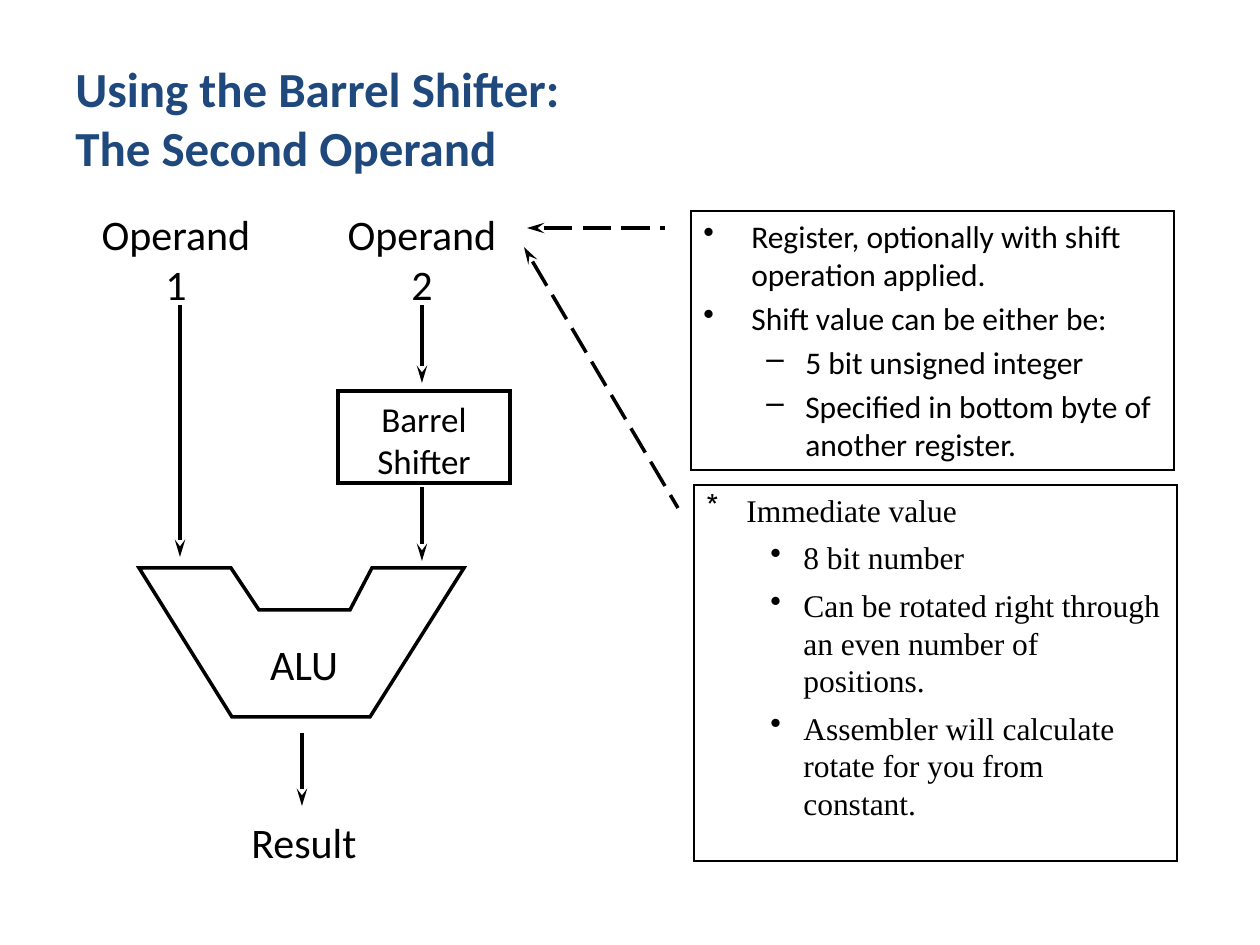
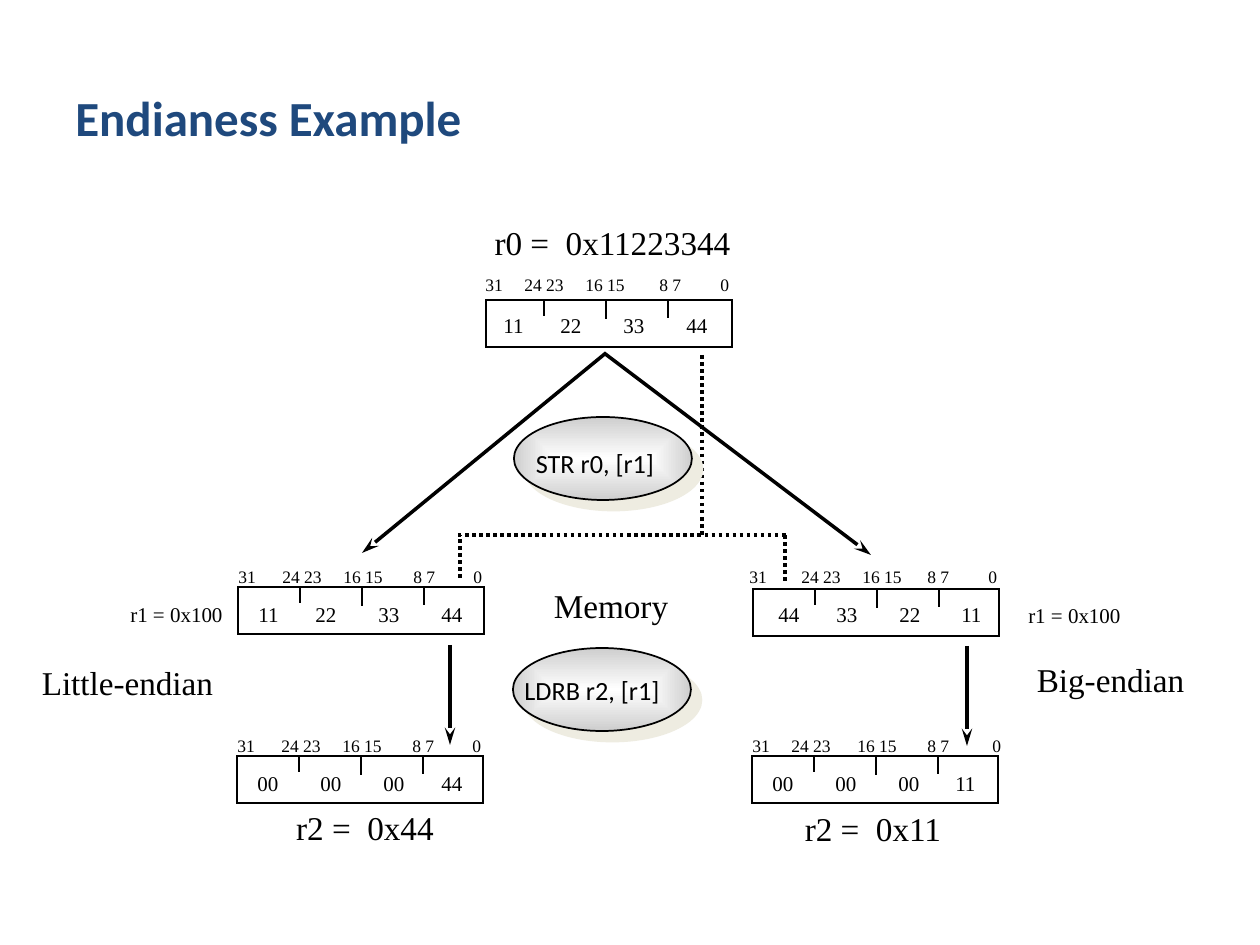
from lxml.etree import SubElement
from pptx import Presentation
from pptx.dml.color import RGBColor
from pptx.enum.dml import MSO_LINE as DASH
from pptx.enum.shapes import MSO_CONNECTOR as CONNECTOR, MSO_SHAPE as SHAPE
from pptx.enum.text import MSO_ANCHOR as ANCHOR, PP_ALIGN as ALIGN
from pptx.oxml.ns import qn
from pptx.util import Pt

PIXEL = 914400 // 126
COLORS = {"title": "1F497D", "ink": "000000", "light": "FFFFFF",
          "grey": "CECECE", "shadow": "EEECE1"}
SANS, SERIF = "Calibri", "Times New Roman"
TIGHT = (9, 4)      # horizontal and vertical text insets
TIGHTER = (8, 3)
INSET = 13


def px(value):
    return round(value * PIXEL)


def color(name):
    return RGBColor.from_string(COLORS[name])


# Text

def write(frame, text, size=18, font=SANS, ink="ink", bold=False, align=ALIGN.LEFT,
          before=0, spacing=None, bullet=None, indent=(0, 0), tabs=()):
    """Add one paragraph; the first one fills the empty paragraph of the frame."""
    para = frame.paragraphs[0]
    if para.runs:
        para = frame.add_paragraph()
    para.alignment = align
    para.space_before = Pt(before)
    if spacing:
        para.line_spacing = spacing
    for number, line in enumerate(text.split("\n")):
        if number:
            para.add_line_break()
        span = para.add_run()
        span.text = line
        span.font.size, span.font.name, span.font.bold = Pt(size), font, bold
        span.font.color.rgb = color(ink)
    props = para._p.get_or_add_pPr()
    if bullet:
        left, hanging = indent
        props.set("marL", str(px(left)))
        props.set("indent", str(-px(hanging)))
        SubElement(props, qn("a:buChar"), char=bullet)
    if tabs:
        stops = SubElement(props, qn("a:tabLst"))
        for stop in tabs:
            SubElement(stops, qn("a:tab"), pos=str(px(stop)), algn="l")


def label(page, text, left, top, width, height, inset=None, wrap=True,
          anchor=ANCHOR.TOP, **style):
    box = page.shapes.add_textbox(*map(px, (left, top, width, height)))
    frame = box.text_frame
    frame.word_wrap, frame.vertical_anchor = wrap, anchor
    if inset:
        frame.margin_left = frame.margin_right = px(inset[0])
        frame.margin_top = frame.margin_bottom = px(inset[1])
    write(frame, text, **style)


def caption(page, text, left, top, width, wrap=False):
    label(page, text, left, top, width, 43, inset=TIGHT, wrap=wrap, size=19,
          font=SERIF, align=ALIGN.CENTER, spacing=0.88)


def title(page, text):
    label(page, text, 63, 38, 1134, 158, anchor=ANCHOR.MIDDLE,
          size=28, bold=True, ink="title")


# Shapes and lines

def outline(shape, weight):
    shape.shadow.inherit = False
    shape.fill.background()
    shape.line.color.rgb = color("ink")
    shape.line.width = Pt(weight)
    SubElement(shape.line._get_or_add_ln(), qn("a:miter"), lim="800000")


def frame_box(page, left, top, width, height, weight=1, kind=SHAPE.RECTANGLE):
    box = page.shapes.add_shape(kind, *map(px, (left, top, width, height)))
    outline(box, weight)
    box.text_frame.word_wrap = True
    box.text_frame.vertical_anchor = ANCHOR.TOP
    return box


def stroke(page, start, end, weight=2, dash=None, arrow=None):
    """A straight line; arrow is "head" at its start or "tail" at its end."""
    line = page.shapes.add_connector(CONNECTOR.STRAIGHT, *map(px, (*start, *end)))
    line.line.color.rgb = color("ink")
    line.line.width = Pt(weight)
    if dash:
        line.line.dash_style = dash
    if arrow:
        SubElement(line.line._get_or_add_ln(), qn(f"a:{arrow}End"),
                   type="stealth", w="med", len="lg")
    SubElement(line._element.spPr, qn("a:effectLst"))


def polygon(page, points, weight=2):
    builder = page.shapes.build_freeform(*points[0], scale=PIXEL)
    builder.add_line_segments(points[1:], close=True)
    outline(builder.convert_to_shape(), weight)


def instruction(page, text, left, top, text_left, text_top):
    """A shaded ellipse with an offset shadow and its assembly instruction."""
    oval = frame_box(page, left, top, 178, 83, kind=SHAPE.OVAL)
    oval.fill.gradient()
    for stop, name in zip(oval.fill.gradient_stops, ("light", "grey")):
        stop.color.rgb = color(name)
    props = oval._element.spPr
    gradient = props.find(qn("a:gradFill"))
    gradient.remove(gradient.find(qn("a:lin")))
    shading = SubElement(gradient, qn("a:path"), {"path": "shape"})
    SubElement(shading, qn("a:fillToRect"), dict.fromkeys("ltrb", "50000"))
    shadow = SubElement(props.find(qn("a:effectLst")), qn("a:outerShdw"),
                        dist=str(Pt(8.5)), dir=str(45 * 60000), algn="ctr")
    SubElement(shadow, qn("a:srgbClr"), val=COLORS["shadow"])
    label(page, text, text_left, text_top, 170, 38, inset=TIGHTER,
          wrap=False, size=15, align=ALIGN.CENTER)


def tabbed(page, items, left, top, width, height, offsets, size):
    """One line of text whose items start at the given offsets from left."""
    first = offsets[0]
    label(page, "\t".join(items), left + first - INSET, top, width, height,
          size=size, font=SERIF, tabs=[offset - first for offset in offsets[1:]])


def register(page, left, top, values, bits, digits, bits_rise=27, digits_drop=8,
             first_tick=62):
    """A 32-bit word: four bytes in a box, with bit numbers above it."""
    frame_box(page, left, top, 246, 47)
    for number, length in enumerate((16, 19, 18)):
        x = left + first_tick + 62 * number
        stroke(page, (x, top), (x, top + length), weight=1)
    tabbed(page, ("31", "24 23", "16 15", "8 7", "0"), left, top - bits_rise,
           277, 34, bits, 10)
    tabbed(page, values.split(), left, top + digits_drop, 239, 39, digits, 12)


# Slides

def barrel_shifter(page):
    title(page, "Using the Barrel Shifter:\nThe Second Operand")

    # Notes on the second operand
    notes = frame_box(page, 694, 485, 483, 376).text_frame
    write(notes, "Immediate value", font=SERIF, bullet="*", indent=(40, 40))
    for text in ("8 bit number",
                 "Can be rotated right through an even number of positions.",
                 "Assembler will calculate rotate for you from constant."):
        write(notes, text, font=SERIF, bullet="•", indent=(97, 33), before=5.4)
    notes = frame_box(page, 691, 211, 483, 259).text_frame
    for text, bullet, indent in (
            ("Register, optionally with shift operation applied.", "•", (48, 48)),
            ("Shift value can be either be:", "•", (48, 48)),
            ("5 bit unsigned integer", "–", (102, 39)),
            ("Specified in bottom byte of another register.", "–", (102, 39))):
        write(notes, text, bullet=bullet, indent=indent, before=3.6)

    # Data path
    for text, left, top, width, height in (
            ("Operand 1", 76, 202, 200, 115), ("Operand 2", 322, 202, 200, 115),
            ("ALU", 244, 632, 120, 64), ("Result", 204, 810, 200, 64)):
        label(page, text, left, top, width, height, size=24, align=ALIGN.CENTER)
    polygon(page, [(139, 568), (231, 568), (259, 610), (350, 610),
                   (372, 568), (464, 568), (370, 717), (232, 717)])
    shifter = frame_box(page, 338, 391, 172, 92, weight=2)
    write(shifter.text_frame, "Barrel Shifter", size=20, align=ALIGN.CENTER)
    for x, start, end in ((180, 305, 557), (422, 305, 383),
                          (422, 487, 561), (302, 733, 806)):
        stroke(page, (x, start), (x, end), arrow="tail")
    stroke(page, (527, 228), (665, 228), dash=DASH.LONG_DASH, arrow="head")
    stroke(page, (524, 247), (678, 508), dash=DASH.LONG_DASH, arrow="head")


def endianess(page):
    title(page, "Endianess Example")

    # Captions
    caption(page, "Big-endian", 1014, 660, 193, wrap=True)
    caption(page, "Little-endian", 25, 663, 205, wrap=True)
    caption(page, "r0 =  0x11223344", 484, 223, 257)
    caption(page, "Memory", 544, 586, 134)
    caption(page, "r2 =  0x44", 286, 808, 158)
    caption(page, "r2 =  0x11", 795, 809, 156)
    for left, top in ((113, 597), (1011, 599)):
        label(page, "r1 = 0x100", left, top, 127, 33, inset=TIGHT, size=12,
              font=SERIF, align=ALIGN.CENTER)

    # Path of the lowest byte
    for start, end in (((702, 355), (702, 535)), ((458, 535), (786, 535)),
                       ((460, 578), (460, 535)), ((785, 581), (785, 535))):
        stroke(page, start, end, dash=DASH.ROUND_DOT)

    # Registers and memory words
    little_bits = (1, 45, 106, 176, 236)
    register(page, 486, 300, "11 22 33 44", (0, 39, 100, 174, 235),
             (18, 75, 138, 201), bits_rise=32, digits_drop=6, first_tick=58)
    register(page, 238, 587, "11 22 33 44", little_bits, (21, 78, 141, 204))
    register(page, 753, 589, "44 33 22 11", (-3, 49, 110, 175, 236),
             (26, 84, 147, 209), bits_rise=29, digits_drop=6)
    register(page, 237, 756, "00 00 00 44", little_bits, (21, 84, 147, 205))
    register(page, 752, 756, "00 00 00 11", (1, 40, 106, 176, 241),
             (21, 84, 147, 204))

    # Instructions and the flow of data
    instruction(page, "STR r0, [r1]", 514, 417, 510, 444)
    instruction(page, "LDRB r2, [r1]", 513, 648, 507, 671)
    for start, end in (((450, 645), (450, 745)), ((967, 646), (967, 746)),
                       ((606, 353), (362, 553)), ((604, 353), (871, 555))):
        stroke(page, start, end, arrow="tail")


def main():
    deck = Presentation()
    deck.slide_width, deck.slide_height = px(1260), px(945)
    for build in (barrel_shifter, endianess):
        build(deck.slides.add_slide(deck.slide_layouts[6]))
    deck.save("out.pptx")


main()
